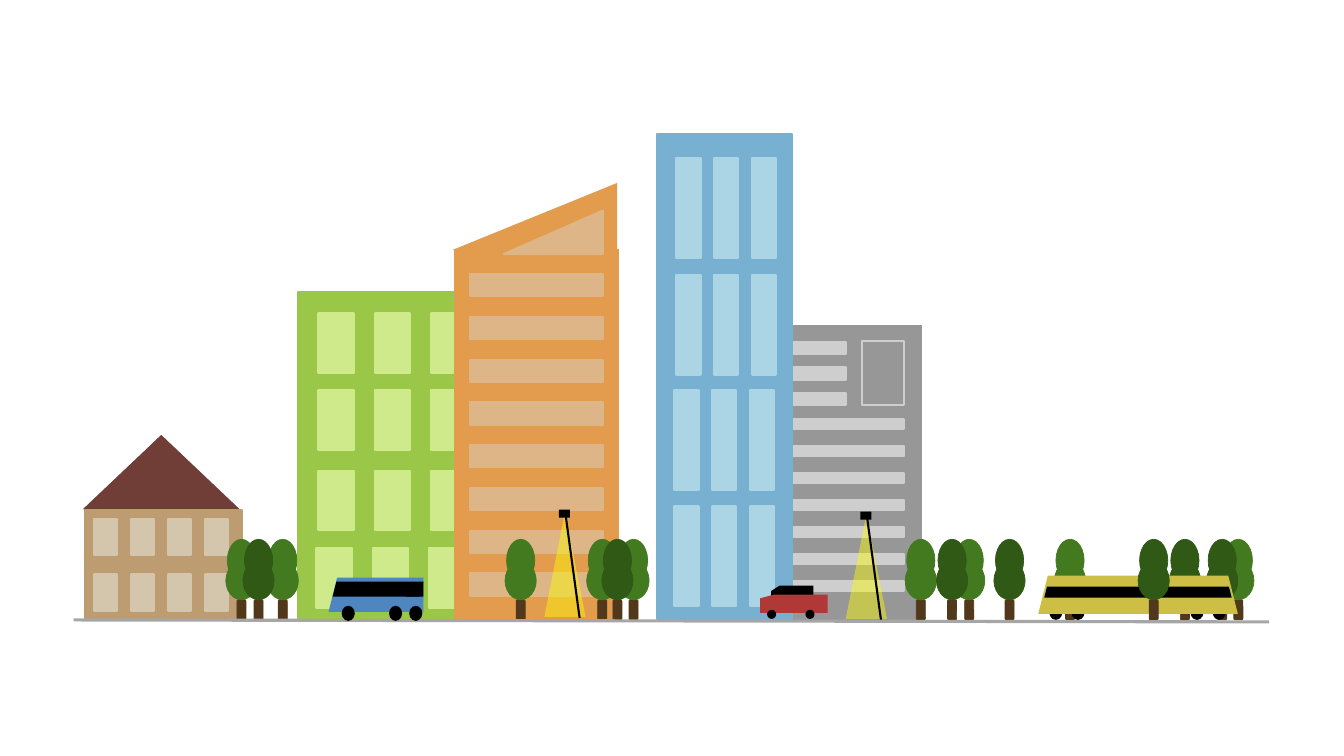
"""Draw a city street with buildings, trees, lamps and traffic on one slide."""
import dataclasses
import itertools

import lxml.etree
import pptx
import pptx.dml.color
import pptx.enum.shapes
import pptx.oxml.ns
import pptx.util

SHAPE = pptx.enum.shapes.MSO_SHAPE
CELL = pptx.util.Inches(0.1)
COLUMNS, ROWS = 133.33, 75


@dataclasses.dataclass(frozen=True)
class Theme:
    """Colours and line weights of the street."""
    roof: str = "703D37"
    house: str = "BD9C72"
    house_edge: str = "BB9E6E"
    house_glass: str = "D3C6AD"
    green: str = "9AC748"
    green_glass: str = "CFEA8A"
    orange: str = "E39B4D"
    orange_glass: str = "DDB587"
    gray: str = "979797"
    gray_glass: str = "CECECE"
    blue: str = "78B0D1"
    blue_glass: str = "ABD5E4"
    trunk: str = "51381B"
    light_leaf: str = "43791F"
    dark_leaf: str = "2F5915"
    coach: str = "CDBF46"
    car: str = "B03836"
    minibus: str = "4F86C0"
    black: str = "000000"
    beam: str = "FFFF00"
    ground: str = "A6A6A6"
    beam_opacity: int = 44
    fine: float = 0.5
    medium: float = 1.5
    heavy: float = 2.25


THEME = Theme()


def cells(*counts):
    """Turn counts of grid cells into lengths."""
    return [round(count * CELL) for count in counts]


def evenly(first, pitch, count):
    """List equally spaced positions."""
    return [first + pitch * step for step in range(count)]


def rgb(color):
    """Read a colour from its hex digits."""
    return pptx.dml.color.RGBColor.from_string(color)


def block(canvas, kind, box, fill=None, weight=None, edge=None, mirrored=False):
    """Add one flat shape at left, top, width and height in cells."""
    shape = canvas.shapes.add_shape(kind, *cells(*box))
    shape.shadow.inherit = False
    if fill:
        shape.fill.solid()
        shape.fill.fore_color.rgb = rgb(fill)
    else:
        shape.fill.background()
    if weight:
        shape.line.color.rgb = rgb(edge or fill)
        shape.line.width = pptx.util.Pt(weight)
    else:
        shape.line.fill.background()
    if mirrored:
        shape.element.spPr.get_or_add_xfrm().set("flipH", "1")
    return shape


def stroke(canvas, start, end, color, weight):
    """Add one straight line between two grid points."""
    line = canvas.shapes.add_connector(
        pptx.enum.shapes.MSO_CONNECTOR.STRAIGHT, *cells(*start, *end))
    line.line.color.rgb = rgb(color)
    line.line.width = pptx.util.Pt(weight)
    lxml.etree.SubElement(line.element.spPr, pptx.oxml.ns.qn("a:effectLst"))


def windows(building, lefts, tops, size, color):
    """Fill a building with equal windows at each left and top."""
    for top, left in itertools.product(tops, lefts):
        block(building, SHAPE.RECTANGLE, (left, top, *size), color, THEME.medium)


def wheels(vehicle, lefts, top, size):
    """Add black wheels in a row."""
    for left in lefts:
        block(vehicle, SHAPE.OVAL, (left, top, *size), THEME.black)


def house(street):
    """Add the small house with its roof."""
    home = street.shapes.add_group_shape()
    block(home, SHAPE.ISOSCELES_TRIANGLE, (8.3, 43.2, 15.4, 7.3), THEME.roof, THEME.fine)
    block(home, SHAPE.RECTANGLE, (8.4, 50.6, 15.6, 10.9), THEME.house,
          THEME.medium, THEME.house_edge)
    windows(home, evenly(9.3, 3.67, 4), (51.5, 57), (2.3, 3.6), THEME.house_glass)


def green_block(street):
    """Add the green apartment block."""
    flats = street.shapes.add_group_shape()
    block(flats, SHAPE.RECTANGLE, (29.6, 29, 18.8, 32.5), THEME.green, THEME.medium)
    for left, tops in ((31.6, (31.1, 38.7, 46.7)), (31.4, (54.4,))):
        windows(flats, evenly(left, 5.6, 3), tops, (3.5, 5.9), THEME.green_glass)


def orange_tower(street):
    """Add the orange tower with its sloping top."""
    tower = street.shapes.add_group_shape()
    block(tower, SHAPE.RIGHT_TRIANGLE, (45, 18.2, 16.2, 6.6), THEME.orange,
          THEME.fine, mirrored=True)
    block(tower, SHAPE.RECTANGLE, (45.1, 24.7, 16.2, 36.9), THEME.orange, THEME.fine)
    block(tower, SHAPE.RIGHT_TRIANGLE, (50, 20.9, 9.8, 4.3), THEME.orange_glass,
          THEME.medium, mirrored=True)
    windows(tower, (46.6,), evenly(27.2, 4.24, 8), (13.2, 2.2), THEME.orange_glass)


def gray_office(street):
    """Add the gray office with its framed panel."""
    office = street.shapes.add_group_shape()
    block(office, SHAPE.RECTANGLE, (76.5, 32.3, 14.9, 29.2), THEME.gray, THEME.fine)
    windows(office, (77.4,), evenly(33.9, 2.55, 3), (6.5, 1.2), THEME.gray_glass)
    block(office, SHAPE.RECTANGLE, (85.5, 33.8, 4.2, 6.4), None,
          THEME.medium, THEME.gray_glass)
    windows(office, (77.4,), evenly(41.6, 2.67, 7), (12.3, 1), THEME.gray_glass)


def blue_tower(street):
    """Add the blue tower with tall windows."""
    tower = street.shapes.add_group_shape()
    block(tower, SHAPE.RECTANGLE, (65.2, 13.3, 13.4, 48.1), THEME.blue, THEME.medium)
    for left, top in ((67.1, 15.7), (66.9, 38.7)):
        windows(tower, evenly(left, 3.75, 3), evenly(top, 11.55, 2), (2.4, 9.9),
                THEME.blue_glass)


def trees(street, planting):
    """Plant trees, given as trunk position and leaf colour."""
    for left, leaf in planting:
        tree = street.shapes.add_group_shape()
        block(tower_or_tree := tree, SHAPE.ROUNDED_RECTANGLE, (left, 59.5, 0.9, 2),
              THEME.trunk, THEME.fine)
        block(tower_or_tree, SHAPE.OVAL, (left - 1.1, 55.7, 3.1, 3.8), leaf, THEME.fine)
        block(tower_or_tree, SHAPE.OVAL, (left - 0.95, 53.5, 2.8, 4.2), leaf, THEME.fine)


def lamp(street, left, top):
    """Add a street lamp with its beam of light."""
    post = street.shapes.add_group_shape()
    beam = block(post, SHAPE.ISOSCELES_TRIANGLE, (left, top, 4.1, 10.4), THEME.beam)
    tint = beam.element.spPr.find(".//" + pptx.oxml.ns.qn("a:srgbClr"))
    lxml.etree.SubElement(tint, pptx.oxml.ns.qn("a:alpha"),
                          val=str(THEME.beam_opacity * 1000))
    stroke(post, (left + 2.1, top + 0.2), (left + 3.5, top + 10.5),
           THEME.black, THEME.medium)
    block(post, SHAPE.RECTANGLE, (left + 1.45, top - 0.25, 1.1, 0.8), THEME.black)


def coach(street):
    """Add the long yellow coach."""
    ride = street.shapes.add_group_shape()
    wheels(ride, (104.1, 106.3, 118.1, 120.3), 60, (1.3, 1.5))
    block(ride, SHAPE.TRAPEZOID, (103, 57.1, 19.8, 3.8), THEME.coach)
    block(ride, SHAPE.TRAPEZOID, (103.6, 58.2, 18.6, 1.1), THEME.black)


def car(street):
    """Add the red car."""
    ride = street.shapes.add_group_shape()
    block(ride, SHAPE.FLOWCHART_CARD, (76.5, 58.1, 4.2, 2.7), THEME.black)
    block(ride, SHAPE.FLOWCHART_CARD, (75.4, 59, 6.7, 1.8), THEME.car)
    wheels(ride, (76.1, 79.9), 60.5, (0.9, 0.9))


def minibus(street):
    """Add the blue minibus."""
    ride = street.shapes.add_group_shape()
    block(ride, SHAPE.PARALLELOGRAM, (32.6, 57.3, 9.4, 3.4), THEME.minibus)
    block(ride, SHAPE.RIGHT_TRIANGLE, (37.1, 57.3, 4.9, 3.4), THEME.minibus, mirrored=True)
    wheels(ride, (33.9, 38.6, 40.6), 60.1, (1.3, 1.5))
    block(ride, SHAPE.PARALLELOGRAM, (33, 57.7, 9, 1.5), THEME.black)
    block(ride, SHAPE.RIGHT_TRIANGLE, (40.3, 57.7, 1.7, 1.5), THEME.black, mirrored=True)


def main():
    """Build the street from back to front and save it."""
    deck = pptx.Presentation()
    deck.slide_width, deck.slide_height = cells(COLUMNS, ROWS)
    street = deck.slides.add_slide(deck.slide_layouts[6])
    light, dark = THEME.light_leaf, THEME.dark_leaf
    for building in (house, green_block, orange_tower, gray_office, blue_tower):
        building(street)
    trees(street, ((105.7, light), (117.1, dark), (122.4, light), (120.8, dark)))
    coach(street)
    car(street)
    trees(street, ((23.5, light), (27.6, light), (25.2, dark), (51.2, light),
                   (59.3, light), (62.4, light), (60.8, dark), (90.9, light),
                   (95.7, light), (94, dark), (99.7, dark), (114, dark)))
    lamp(street, 54, 50.8)
    lamp(street, 83.9, 51)
    stroke(street, (7.3, 61.5), (125.9, 61.7), THEME.ground, THEME.heavy)
    minibus(street)
    deck.save("out.pptx")


if __name__ == "__main__":
    main()
